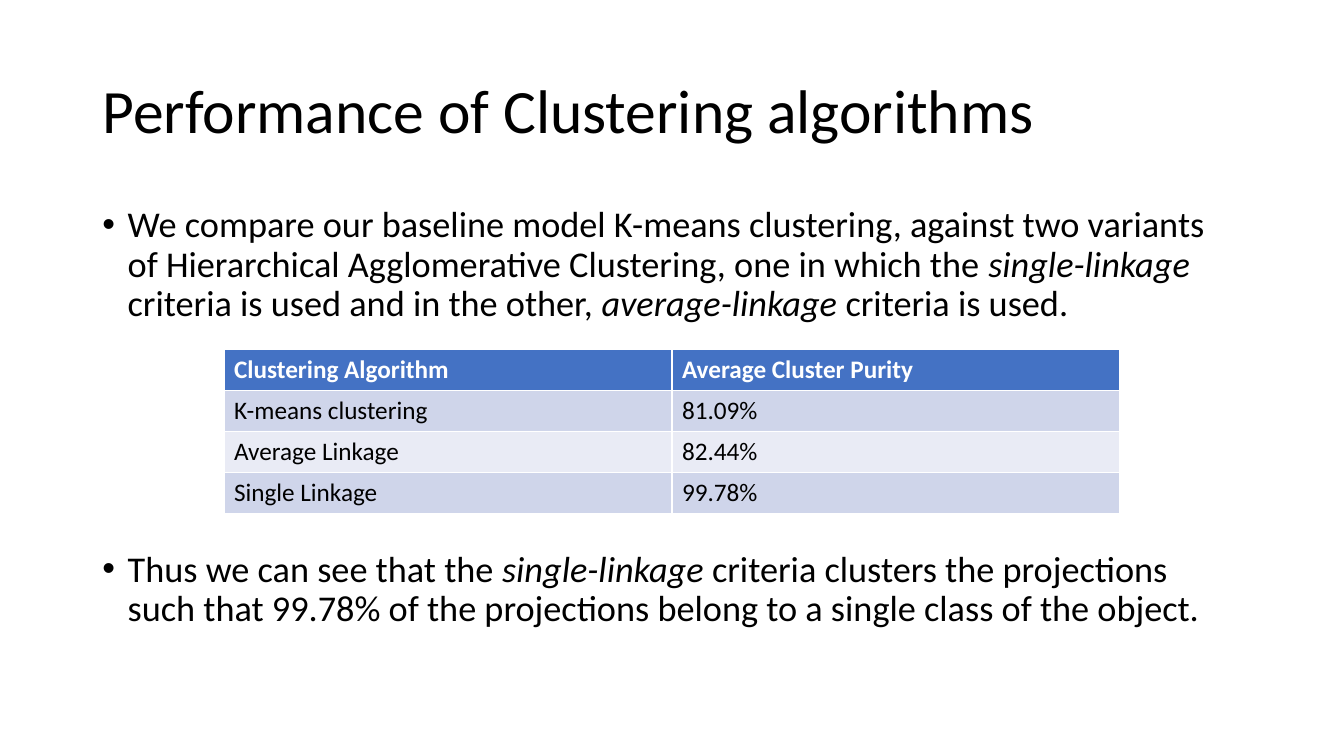
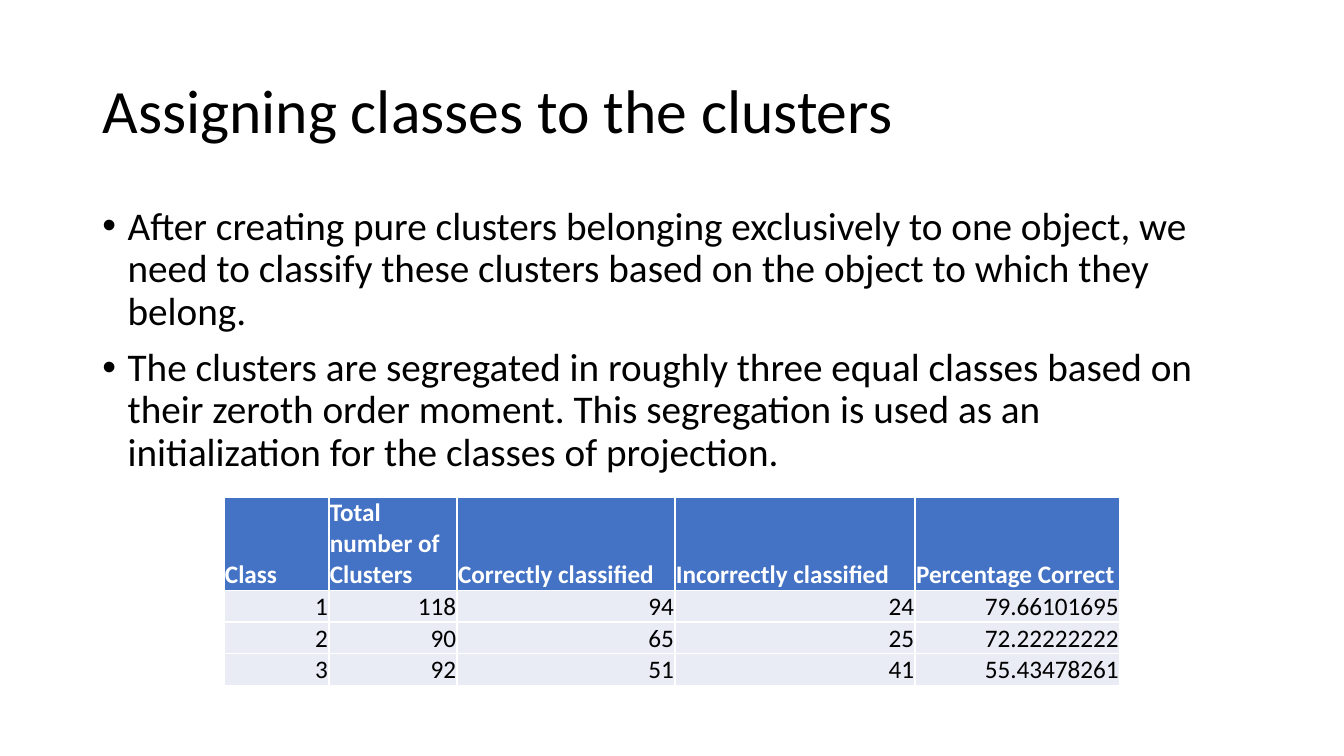
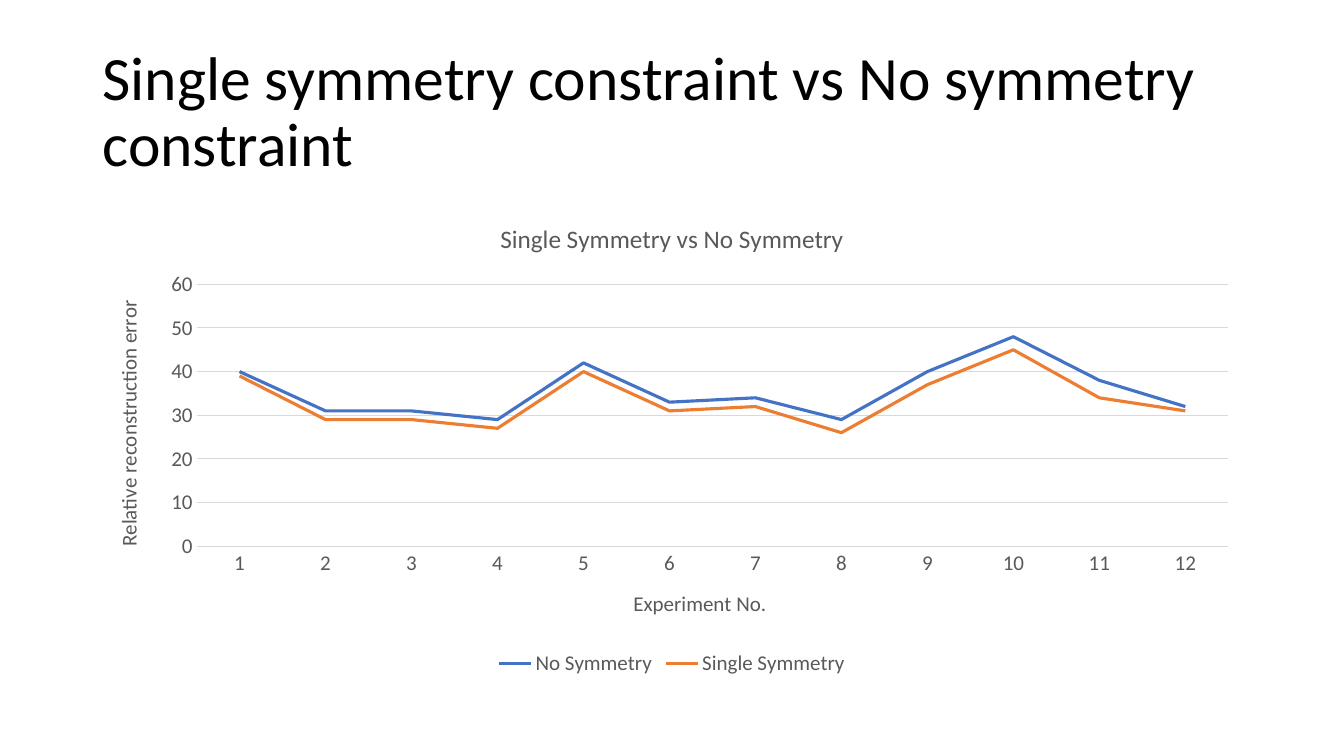
from pptx import Presentation
from pptx.chart.data import CategoryChartData
from pptx.dml.color import RGBColor
from pptx.enum.chart import XL_CHART_TYPE, XL_LEGEND_POSITION, XL_TICK_MARK
from pptx.enum.text import MSO_ANCHOR, MSO_AUTO_SIZE, PP_ALIGN
from pptx.util import Inches, Pt

LINE = XL_CHART_TYPE.LINE
BELOW = XL_LEGEND_POSITION.BOTTOM
NONE = XL_TICK_MARK.NONE
MIDDLE, BOTTOM, TOP = MSO_ANCHOR.MIDDLE, MSO_ANCHOR.BOTTOM, MSO_ANCHOR.TOP
LEFT, RIGHT = PP_ALIGN.LEFT, PP_ALIGN.RIGHT
FIXED = MSO_AUTO_SIZE.NONE

FONT = "Calibri"
BLACK, WHITE, GREY, RULE = "000000", "FFFFFF", "595959", "D9D9D9"
BLUE, ORANGE, MIST, PALE = "4472C4", "ED7D31", "CFD5EA", "E9EBF5"


def hue(code):
    return RGBColor.from_string(code)


def style(font, size, code, bold=False, italic=False):
    font.name, font.size = FONT, Pt(size)
    font.bold, font.italic = bold, italic
    font.color.rgb = hue(code)


deck = Presentation()
deck.slide_width, deck.slide_height = Inches(40 / 3), Inches(7.5)
wide, high = deck.slide_width, deck.slide_height
col, row = wide // 160, high // 150
frame = (11 * col, 40 * row, 138 * col, 95 * row)

titles = [
    "Performance of Clustering algorithms",
    "Assigning classes to the clusters",
    "Single symmetry constraint vs No symmetry constraint",
]
slides = []
for title, kind in zip(titles, (1, 1, 5)):
    slide = deck.slides.add_slide(deck.slide_layouts[kind])
    head = slide.shapes.title
    head.left, head.top, head.width, head.height = 11 * col, 8 * row, 138 * col, 29 * row
    text = head.text_frame
    text.auto_size, text.vertical_anchor = FIXED, MIDDLE
    para = text.paragraphs[0]
    para.alignment, para.line_spacing = LEFT, 0.9
    run = para.add_run()
    run.text = title
    style(run.font, 44, BLACK)
    slides.append(slide)

lists = [
    (25.9, 162, [
        ["We compare our baseline model K-means clustering, against two variants of "
         "Hierarchical Agglomerative Clustering, one in which the ",
         "single-linkage ", "criteria is used and in the other,",
         " average-linkage ", "criteria is used."],
        ["Thus we can see that the ", "single-linkage ",
         "criteria clusters the projections such that 99.78% of the projections "
         "belong to a single class of the object."],
    ]),
    (28, 10, [
        ["After creating pure clusters belonging exclusively to one object, we need "
         "to classify these clusters based on the object to which they belong."],
        ["The clusters are segregated in roughly three equal classes based on their "
         "zeroth order moment. This segregation is used as an initialization for "
         "the classes of projection."],
    ]),
]
for slide, (size, gap, items) in zip(slides, lists):
    body = slide.placeholders[1]
    body.left, body.top, body.width, body.height = frame
    text = body.text_frame
    text.auto_size = FIXED
    for i, parts in enumerate(items):
        para = text.add_paragraph() if i else text.paragraphs[0]
        para.line_spacing = 0.9
        para.space_before = Pt(gap if i else 10)
        props = para._p.get_or_add_pPr()
        props.set("marL", str(3 * col))
        props.set("indent", str(-3 * col))
        for j, part in enumerate(parts):
            run = para.add_run()
            run.text = part
            style(run.font, size, BLACK, italic=j % 2 == 1)

tables = [
    (69.4, [1, 1], [8.1, 8.1], (MIST, PALE), TOP, LEFT, None, [
        ["Clustering Algorithm", "Average Cluster Purity"],
        ["K-means clustering", "81.09%"],
        ["Average Linkage", "82.44%"],
        ["Single Linkage", "99.78%"],
    ]),
    (98.6, [1.04, 1.27, 2.16, 2.38, 2.03], [18, 6.2], (PALE, PALE), BOTTOM, RIGHT, 0.01, [
        ["Class", "Total number of Clusters", "Correctly classified",
         "Incorrectly classified", "Percentage Correct"],
        ["1", "118", "94", "24", "79.66101695"],
        ["2", "90", "65", "25", "72.22222222"],
        ["3", "92", "51", "41", "55.43478261"],
    ]),
]
for slide, (top, parts, tall, fills, anchor, align, inset, data) in zip(slides, tables):
    span = wide * 2 // 3
    table = slide.shapes.add_table(
        len(data), len(parts), wide // 6, int(top * row), span,
        int((tall[0] + 3 * tall[1]) * row)).table
    for column, part in zip(table.columns, parts):
        column.width = int(span * part / sum(parts))
    for r, line in enumerate(data):
        table.rows[r].height = int(tall[min(r, 1)] * row)
        for c, word in enumerate(line):
            cell = table.cell(r, c)
            cell.fill.solid()
            cell.fill.fore_color.rgb = hue(fills[(r - 1) % 2] if r else BLUE)
            cell.vertical_anchor = anchor
            if inset is not None:
                cell.margin_left = cell.margin_right = cell.margin_top = Inches(inset)
                cell.margin_bottom = 0
            para = cell.text_frame.paragraphs[0]
            para.alignment = align if r else LEFT
            run = para.add_run()
            run.text = word
            style(run.font, 18, BLACK if r else WHITE, bold=r == 0)

data = CategoryChartData()
data.categories = [str(n) for n in range(1, 13)]
data.add_series("No Symmetry", [40, 31, 31, 29, 42, 33, 34, 29, 40, 48, 38, 32])
data.add_series("Single Symmetry", [39, 29, 29, 27, 40, 31, 32, 26, 37, 45, 34, 31])
chart = slides[2].shapes.add_chart(LINE, *frame, data).chart
style(chart.font, 15, GREY)
chart.has_title = chart.has_legend = True
chart.legend.position = BELOW
chart.legend.include_in_layout = False
style(chart.legend.font, 15, GREY)

across, up = chart.category_axis, chart.value_axis
labels = [
    (chart.chart_title, "Single Symmetry vs No Symmetry", 18),
    (across.axis_title, "Experiment No.", 15),
    (up.axis_title, "Relative reconstruction error", 15),
]
for label, word, size in labels:
    run = label.text_frame.paragraphs[0].add_run()
    run.text = word
    style(run.font, size, GREY)
for axis in (across, up):
    axis.major_tick_mark = axis.minor_tick_mark = NONE
    style(axis.tick_labels.font, 15, GREY)
up.minimum_scale, up.maximum_scale, up.major_unit = 0, 60, 10
up.has_major_gridlines = True
up.format.line.fill.background()
for line in (across.format.line, up.major_gridlines.format.line):
    line.color.rgb = hue(RULE)
    line.width = Pt(0.75)

plot = chart.plots[0]
plot.vary_by_categories = False
for series, code in zip(plot.series, (BLUE, ORANGE)):
    series.smooth = False
    series.format.line.color.rgb = hue(code)
    series.format.line.width = Pt(2.25)

deck.save("out.pptx")
